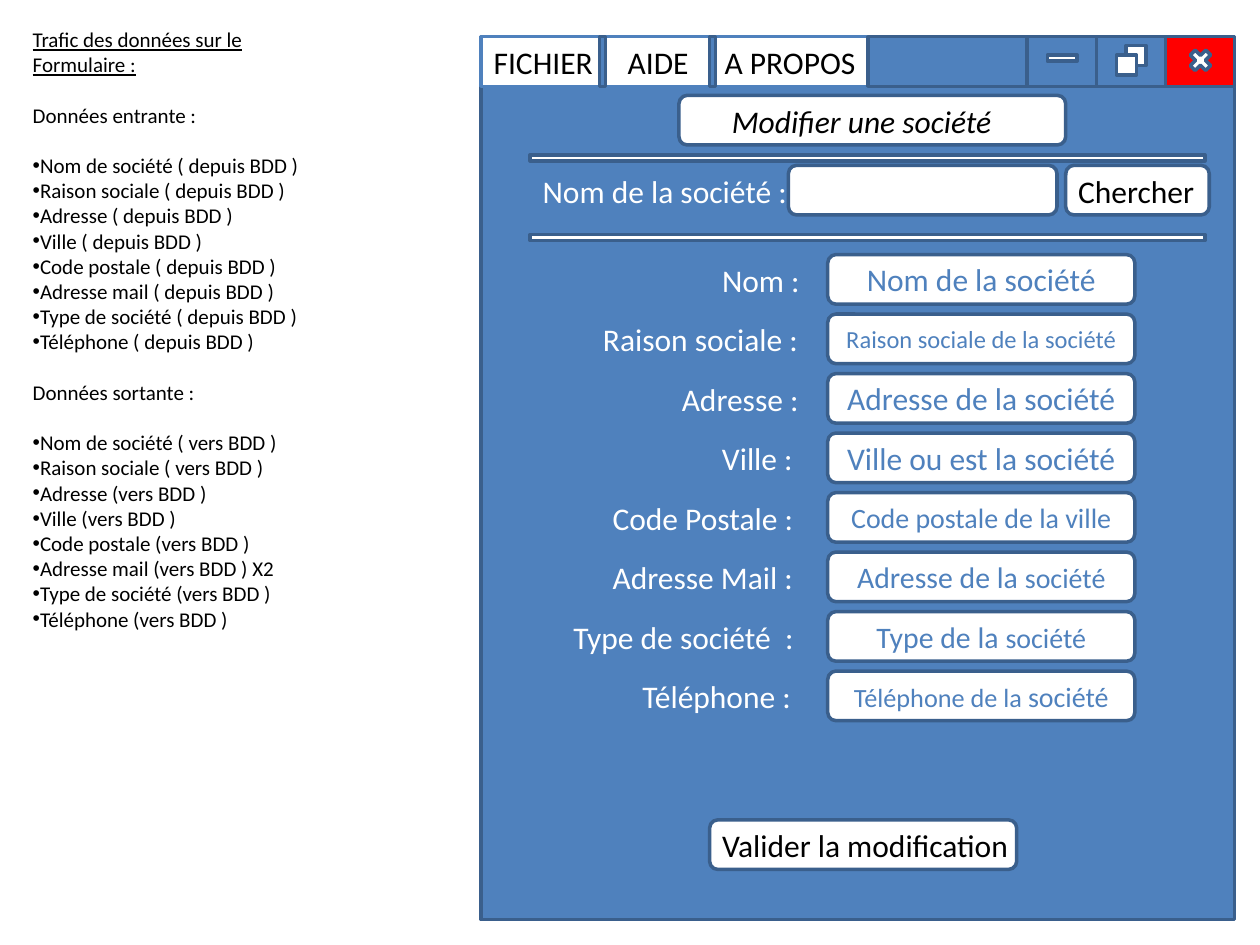
from pptx import Presentation
from pptx.dml.color import RGBColor
from pptx.enum.shapes import MSO_SHAPE as Shape
from pptx.enum.text import MSO_ANCHOR as Anchor, MSO_AUTO_SIZE as AutoSize, PP_ALIGN as Align
from pptx.oxml.ns import qn
from pptx.util import Pt
from lxml.etree import SubElement

BLUE = RGBColor(0x4F, 0x81, 0xBD)
NAVY = RGBColor(0x3A, 0x5F, 0x8C)
RED = RGBColor(0xFF, 0x00, 0x00)
WHITE = RGBColor(0xFF, 0xFF, 0xFF)
BLACK = RGBColor(0x00, 0x00, 0x00)

TOP, BAR_H, ROW_H = 21, 28.35, 28.35
WIN_X, WIN_W = 275, 430.5
FIELD_X, FIELD_W = 473, 175.5
ROW_TOP, ROW_STEP = 145.5, 34

FIELDS = [
    ("Nom :", 405.5, 60, [("Nom de la société", 18)]),
    ("Raison sociale :", 337.5, 127.5, [("Raison sociale de la société", 14)]),
    ("Adresse :", 382.5, 82, [("Adresse de la société", 18)]),
    ("Ville :", 405.5, 55.5, [("Ville ou est la société", 18)]),
    ("Code Postale :", 343, 119, [("Code postale de la ville", 16)]),
    ("Adresse Mail :", 343, 119, [("Adresse de la ", 17), ("société", 16)]),
    ("Type de société  :", 320.5, 142, [("Type de la ", 17), ("société", 16)]),
    ("Téléphone :", 360, 101, [("Téléphone de la ", 15), ("société", 16)]),
]
INCOMING = [f"{name} ( depuis BDD )" for name in (
    "Nom de société", "Raison sociale", "Adresse", "Ville",
    "Code postale", "Adresse mail", "Type de société", "Téléphone")]
OUTGOING = [
    "Nom de société ( vers BDD )", "Raison sociale ( vers BDD )",
    "Adresse (vers BDD )", "Ville (vers BDD )", "Code postale (vers BDD )",
    "Adresse mail (vers BDD ) X2", "Type de société (vers BDD )",
    "Téléphone (vers BDD )",
]


class Form:
    font = "Calibri"

    def __init__(self, slide):
        self.slide = slide

    def run(self, p, text, size, color, **style):
        r = p.add_run()
        r.text = text
        r.font.color.rgb = color
        for name, value in {"name": self.font, "size": Pt(size), **style}.items():
            setattr(r.font, name, value)

    def frame(self, sp, **style):
        values = {"word_wrap": True, "auto_size": AutoSize.NONE,
                  "vertical_anchor": Anchor.TOP, **style}
        for name, value in values.items():
            setattr(sp.text_frame, name, value)
        return sp.text_frame

    def box(self, x, y, w, h, fill=WHITE, line=NAVY, kind=Shape.RECTANGLE):
        sp = self.slide.shapes.add_shape(kind, Pt(x), Pt(y), Pt(w), Pt(h))
        sp.shadow.inherit = False
        sp.fill.solid()
        sp.fill.fore_color.rgb = fill
        sp.line.color.rgb = line
        sp.line.width = Pt(2)
        return sp

    def field(self, x, y, w, runs=()):
        sp = self.box(x, y, w, ROW_H, kind=Shape.ROUNDED_RECTANGLE)
        if runs:
            p = self.frame(sp, vertical_anchor=Anchor.MIDDLE).paragraphs[0]
            p.alignment = Align.CENTER
            for text, size in runs:
                self.run(p, text, size, BLUE)

    def label(self, text, x, y, w, color=WHITE):
        sp = self.slide.shapes.add_textbox(Pt(x), Pt(y), Pt(w), Pt(29))
        tf = self.frame(sp, word_wrap=False)
        self.run(tf.paragraphs[0], text, 18, color)

    def menu(self, names, stops):
        sp = self.slide.shapes.add_textbox(Pt(WIN_X), Pt(TOP), Pt(312), Pt(51))
        p = self.frame(sp).paragraphs[0]
        self.run(p, "\t".join(names), 18, BLACK)
        tabs = SubElement(p._p.get_or_add_pPr(), qn("a:tabLst"))
        for stop in stops:
            SubElement(tabs, qn("a:tab"), pos=str(Pt(stop)), algn="l")

    def placeholder(self, sp, x, y, w, h):
        for name, value in zip(("left", "top", "width", "height"), (x, y, w, h)):
            setattr(sp, name, Pt(value))
        self.slide.shapes._spTree.append(sp._element)
        return self.frame(sp)

    def title(self, text, *place):
        p = self.placeholder(self.slide.shapes.title, *place).paragraphs[0]
        p.alignment = Align.LEFT
        self.run(p, text, 18, BLACK, italic=True)

    def notes(self, items, *place):
        tf = self.placeholder(self.slide.placeholders[1], *place)
        for i, (text, bullet, gap, underline) in enumerate(items):
            p = tf.add_paragraph() if i else tf.paragraphs[0]
            p.space_before = Pt(gap)
            pPr = p._p.get_or_add_pPr()
            pPr.set("marL", "0")
            pPr.set("indent", "0")
            if bullet:
                SubElement(pPr, qn("a:buChar"), char="•")
            else:
                SubElement(pPr, qn("a:buNone"))
            self.run(p, text, 12, BLACK, underline=underline)


def main():
    prs = Presentation()
    prs.slide_width, prs.slide_height = Pt(720), Pt(540)
    form = Form(prs.slides.add_slide(prs.slide_layouts[1]))

    form.box(WIN_X, TOP, WIN_W, 504.5, BLUE)
    form.box(WIN_X, TOP, WIN_W, BAR_H, line=BLUE)
    for x, fill in ((666, RED), (626.5, BLUE), (587, BLUE)):
        form.box(x, TOP, 39.5, BAR_H, fill)
    form.box(598.5, 31.5, 17, 3.5)
    form.box(677.5, 26, 17, 17, kind=Shape.MATH_MULTIPLY)
    for x, y in ((643.5, 26), (638, 31.5)):
        form.box(x, y, 11.5, 11.5)
    form.menu(("FICHIER", "AIDE", "A PROPOS"), (76.6, 132))
    for x, w in ((496, 91), (342.5, 3.5), (405.5, 3.5)):
        form.box(x, TOP, w, BAR_H, BLUE)

    form.field(388, 54.5, 221)
    form.title("Modifier une société", 411, 54.5, 187, 29)

    for i, (name, x, w, runs) in enumerate(FIELDS):
        y = ROW_TOP + i * ROW_STEP
        form.field(FIELD_X, y, FIELD_W, runs)
        form.label(name, x, y, w)

    form.label("Nom de la société :", 303, 94.5, 156)
    form.field(450.5, 94.5, 153.5)
    for text, x, y, w in (("Chercher", 609, 94.5, 82),
                          ("Valider la modification", 405.5, 468.5, FIELD_W)):
        form.field(x, y, w)
        form.label(text, x, y, w, BLACK)
    for y in (88.5, 134):
        form.box(303, y, 385.5, 3.5)

    items = [("Trafic des données sur le", False, 0, True),
             ("Formulaire :", False, 0, True)]
    for heading, lines in (("Données entrante :", INCOMING),
                           ("Données sortante :", OUTGOING)):
        items.append((heading, False, 14.4, False))
        items += [(text, True, 0 if i else 14.4, False) for i, text in enumerate(lines)]
    form.notes(items, 11.5, 11.5, 168.5, 356.5)

    prs.save("out.pptx")


if __name__ == "__main__":
    main()
